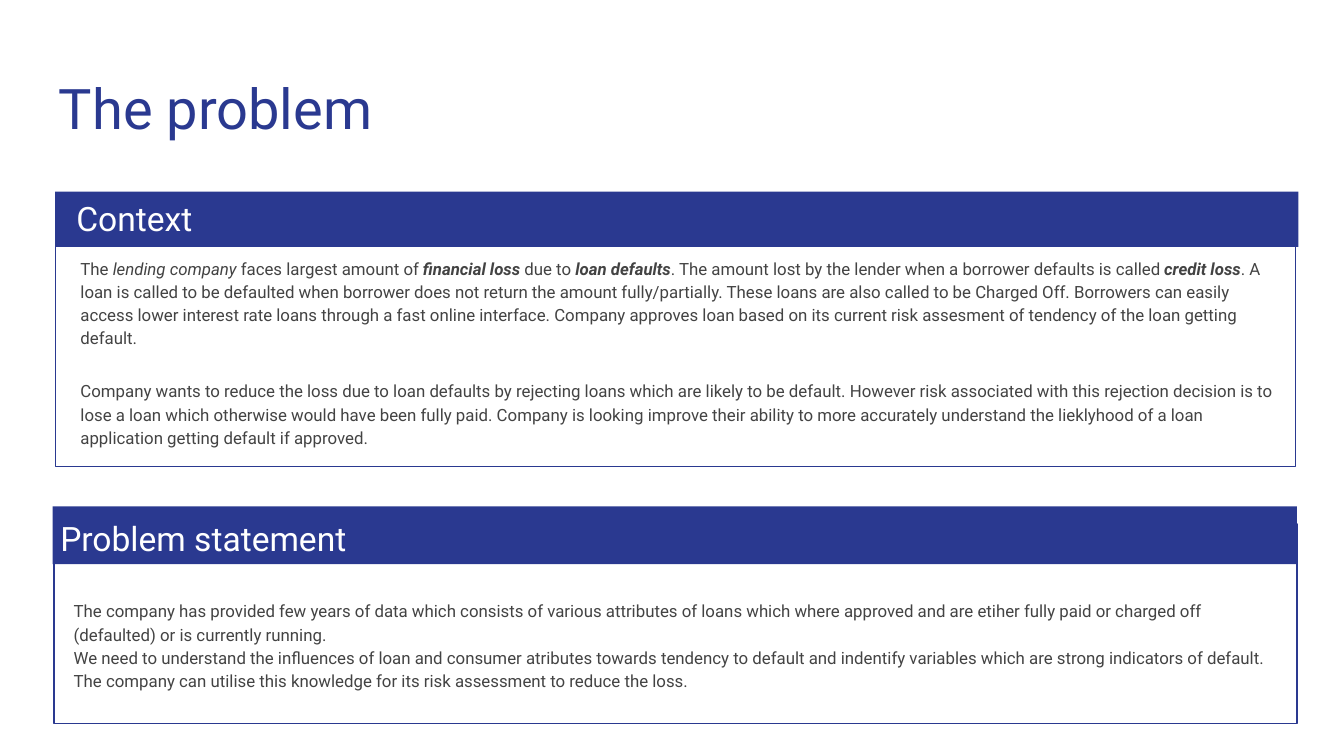
"""Build the slide that sets out the loan default problem and its statement."""
from dataclasses import dataclass

from pptx import Presentation
from pptx.dml.color import RGBColor
from pptx.enum.shapes import MSO_SHAPE
from pptx.util import Pt


@dataclass(frozen=True)
class Theme:
    font: str = "Roboto"
    navy: RGBColor = RGBColor(0x2A, 0x39, 0x90)
    white: RGBColor = RGBColor(0xFF, 0xFF, 0xFF)
    grey: RGBColor = RGBColor(0x43, 0x43, 0x43)
    title: int = 30
    heading: int = 18
    body: int = 9
    inset: float = 7.2
    border: float = 0.75


theme = Theme()
deck = Presentation()
deck.slide_width, deck.slide_height = Pt(720), Pt(405)
slide = deck.slides.add_slide(deck.slide_layouts[6])


def write(*lines, box, size, color, spacing=1.15, after=0):
    """Write one paragraph per line; * toggles italic, ** bold italic."""
    frame = slide.shapes.add_textbox(*map(Pt, box)).text_frame
    frame.word_wrap = True
    frame.margin_left = frame.margin_right = Pt(theme.inset)
    frame.margin_top = frame.margin_bottom = Pt(theme.inset)
    for index, line in enumerate(lines):
        paragraph = frame.add_paragraph() if index else frame.paragraphs[0]
        paragraph.line_spacing = spacing
        paragraph.space_after = Pt(after)
        for strong_index, part in enumerate(line.split("**")):
            for italic_index, words in enumerate(part.split("*")):
                run = paragraph.add_run()
                run.text = words
                run.font.name = theme.font
                run.font.size = Pt(size)
                run.font.color.rgb = color
                run.font.bold = strong_index % 2 == 1
                run.font.italic = (strong_index + italic_index) % 2 == 1


def add_panel(box, filled):
    panel = slide.shapes.add_shape(MSO_SHAPE.RECTANGLE, *map(Pt, box))
    panel.shadow.inherit = False
    if filled:
        panel.fill.solid()
        panel.fill.fore_color.rgb = theme.navy
        panel.line.fill.background()
    else:
        panel.fill.background()
        panel.line.color.rgb = theme.navy
        panel.line.width = Pt(theme.border)


context = [
    "The *lending company* faces largest amount of **financial loss** due to "
    "**loan defaults**. The amount lost by the lender when a borrower defaults is "
    "called **credit loss**. A loan is called to be defaulted when borrower does not "
    "return the amount fully/partially. These loans are also called to be Charged Off. "
    "Borrowers can easily access lower interest rate loans through a fast online "
    "interface. Company approves loan based on its current risk assesment of tendency "
    "of the loan getting default.",
    "Company wants to reduce the loss due to loan defaults by rejecting loans which are "
    "likely to be default. However risk associated with this rejection decision is to "
    "lose a loan which otherwise would have been fully paid. Company is looking improve "
    "their ability to more accurately understand the lieklyhood of a loan application "
    "getting default if approved.",
]
statement = [
    "The company has provided few years of data which consists of various attributes of "
    "loans which where approved and are etiher fully paid or charged off (defaulted) or "
    "is currently running.",
    "We need to understand the influences of loan and consumer atributes towards "
    "tendency to default and indentify variables which are strong indicators of default.",
    "The company can utilise this knowledge for its risk assessment to reduce the loss.",
]

write("The problem", box=(24.5, 32.4, 671, 47.5), size=theme.title,
      color=theme.navy, spacing=1.0)

sections = [
    ("Context", (33.8, 95.8, 195, 36), (29.6, 102.7, 666, 29.6),
     (29.6, 103, 664.6, 146.9), context, (36, 129.6, 658.8, 108.7), 16),
    ("Problem statement", (25.2, 267.1, 195, 31), (28.2, 271.3, 666.6, 31),
     (28.9, 280.8, 665.9, 106.9), statement, (32.4, 313.2, 654.5, 63.4), 0),
]
for heading, heading_box, band, outline, body, body_box, after in sections:
    add_panel(outline, filled=False)
    add_panel(band, filled=True)
    write(heading, box=heading_box, size=theme.heading, color=theme.white)
    write(*body, box=body_box, size=theme.body, color=theme.grey, after=after)

deck.save("out.pptx")
